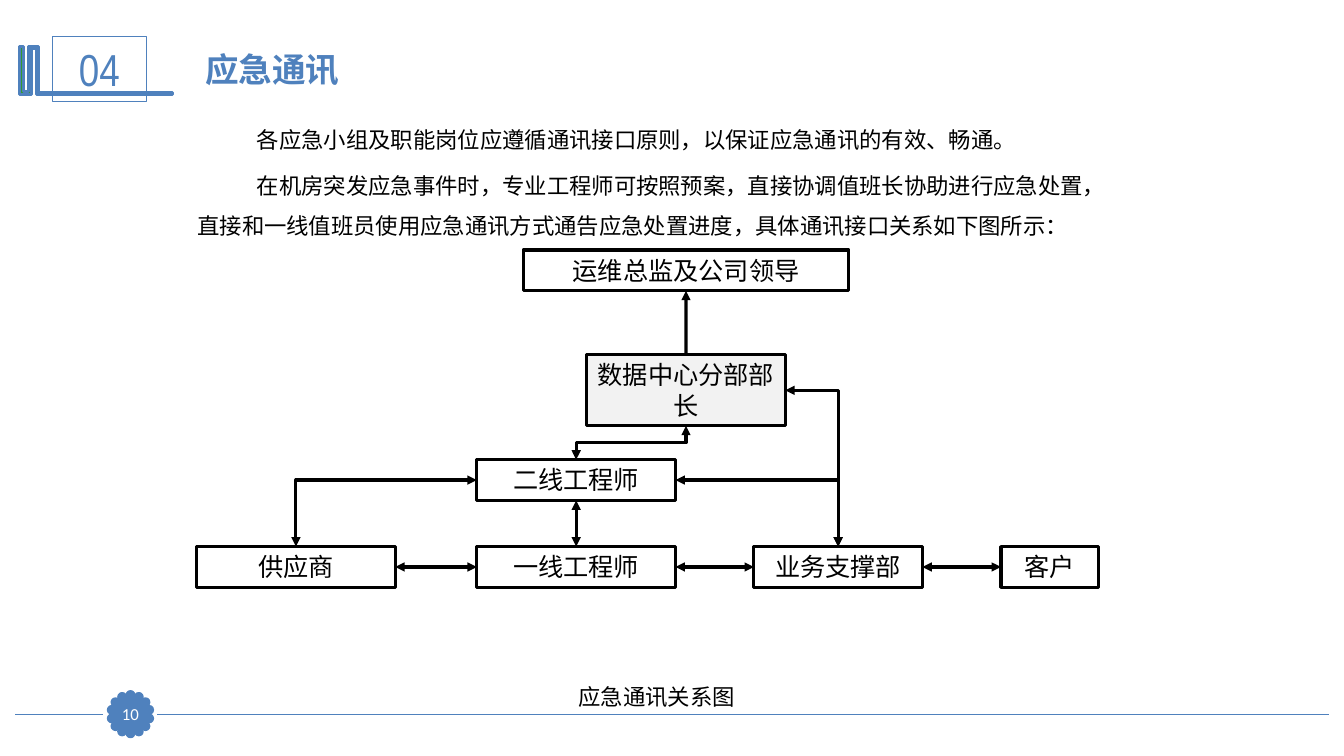
import math
from dataclasses import dataclass
from lxml import etree
from pptx import Presentation
from pptx.dml.color import RGBColor
from pptx.enum.shapes import MSO_CONNECTOR, MSO_SHAPE
from pptx.enum.text import MSO_ANCHOR, PP_ALIGN
from pptx.oxml.ns import qn
from pptx.util import Emu, Inches, Pt

STRAIGHT, ELBOW = MSO_CONNECTOR.STRAIGHT, MSO_CONNECTOR.ELBOW
RECT, OVAL = MSO_SHAPE.RECTANGLE, MSO_SHAPE.OVAL
TOP_ANCHOR, MIDDLE = MSO_ANCHOR.TOP, MSO_ANCHOR.MIDDLE
LEFT_ALIGN, CENTER = PP_ALIGN.LEFT, PP_ALIGN.CENTER
TOP, LEFT, BOTTOM, RIGHT = range(4)
COLORS = {"blue": "4F81BD", "green": "339933", "black": "000000",
          "white": "FFFFFF", "grey": "F2F2F2"}
CJK = "Noto Sans CJK SC"
WIDTH, HEIGHT = Inches(13.33), Inches(7.5)


@dataclass(frozen=True)
class Style:
    size: float
    color: str = "black"
    font: str = "Calibri"
    bold: bool = False
    align: PP_ALIGN = LEFT_ALIGN
    anchor: MSO_ANCHOR = TOP_ANCHOR
    spacing: float = 1.0
    gap: float = 0
    indent: float = 0


@dataclass(frozen=True)
class Box:
    name: str
    x: float
    y: float
    w: float
    h: float = 5.4
    fill: str | None = None


@dataclass(frozen=True)
class Link:
    start: str
    start_side: int
    end: str
    end_side: int
    preset: str = "line"
    both: bool = True


def col(share: float) -> Emu:
    return Emu(round(WIDTH * share / 100))


def row(share: float) -> Emu:
    return Emu(round(HEIGHT * share / 100))


def rgb(name: str) -> RGBColor:
    return RGBColor.from_string(COLORS[name])


def paint(sp, fill: str | None, line: str, weight: float) -> None:
    sp.shadow.inherit = False
    if fill:
        sp.fill.solid()
        sp.fill.fore_color.rgb = rgb(fill)
    else:
        sp.fill.background()
    sp.line.color.rgb = rgb(line)
    sp.line.width = Pt(weight)


def write(sp, texts: list[str], style: Style) -> None:
    tf = sp.text_frame
    tf.word_wrap = True
    tf.vertical_anchor = style.anchor
    tf.text = "\n".join(texts)
    for p in tf.paragraphs:
        p.alignment = style.align
        p.line_spacing = style.spacing
        p.space_before = p.space_after = Pt(style.gap)
        if style.indent:
            p._p.get_or_add_pPr().set("indent", str(col(style.indent)))
        for r in p.runs:
            r.font.size, r.font.bold = Pt(style.size), style.bold
            r.font.name = style.font
            r.font.color.rgb = rgb(style.color)
            ea = etree.SubElement(r._r.get_or_add_rPr(), qn("a:ea"))
            ea.set("typeface", CJK)


def add_rect(s, box: Box, line: str, weight: float, style: Style):
    sp = s.shapes.add_shape(RECT, col(box.x), row(box.y), col(box.w), row(box.h))
    paint(sp, box.fill, line, weight)
    write(sp, [box.name], style)
    return sp


def add_text(s, x: float, y: float, w: float, h: float,
             texts: list[str], style: Style) -> None:
    write(s.shapes.add_textbox(col(x), row(y), col(w), row(h)), texts, style)


def style_line(c, color: str, weight: float, ends: tuple[str, ...] = ()) -> None:
    c.line.color.rgb = rgb(color)
    c.line.width = Pt(weight)
    ln = c.line._get_or_add_ln()
    for end in ends:
        etree.SubElement(ln, qn(f"a:{end}")).set("type", "triangle")
    etree.SubElement(c._element.spPr, qn("a:effectLst"))


def turn_upright(c) -> None:
    mid_x, mid_y = (c.begin_x + c.end_x) // 2, (c.begin_y + c.end_y) // 2
    dx, dy = c.end_x - c.begin_x, c.end_y - c.begin_y
    c.begin_x, c.end_x = mid_x - dy // 2, mid_x + dy // 2
    c.begin_y, c.end_y = mid_y + dx // 2, mid_y - dx // 2
    c._element.spPr.find(qn("a:xfrm")).set("rot", "5400000")


def add_link(s, link: Link, shapes: dict) -> None:
    kind = STRAIGHT if link.preset == "line" else ELBOW
    c = s.shapes.add_connector(kind, 0, 0, 0, 0)
    c.begin_connect(shapes[link.start], link.start_side)
    c.end_connect(shapes[link.end], link.end_side)
    c._element.spPr.find(qn("a:prstGeom")).set("prst", link.preset)
    if link.preset == "bentConnector3":
        turn_upright(c)
    style_line(c, "black", 2.25, ("headEnd", "tailEnd") if link.both else ("tailEnd",))


def add_rosette(s, x: float, y: float, petals: int) -> None:
    size, radius = Inches(0.07), Inches(0.19)
    for i in range(petals):
        a = 2 * math.pi * i / petals
        sp = s.shapes.add_shape(
            OVAL, round(col(x) + radius * math.sin(a) - size / 2),
            round(row(y) - radius * math.cos(a) - size / 2), size, size)
        paint(sp, "blue", "blue", 2)


DIRECTOR, CHIEF = "运维总监及公司领导", "数据中心分部部长"
SECOND, FIRST = "二线工程师", "一线工程师"
SUPPLIER, SUPPORT, CLIENT = "供应商", "业务支撑部", "客户"
BASE_ROW, WIDE = 72.3, 14.78
BOXES = [
    Box(DIRECTOR, 38.93, 33.07, 24.23),
    Box(CHIEF, 43.65, 46.93, WIDE, 9.4, "grey"),
    Box(SECOND, 35.48, 60.8, WIDE),
    Box(SUPPLIER, 14.63, BASE_ROW, WIDE),
    Box(FIRST, 35.48, BASE_ROW, WIDE),
    Box(SUPPORT, 56.1, BASE_ROW, 12.53),
    Box(CLIENT, 74.48, BASE_ROW, 7.28),
]
LINKS = [
    Link(CHIEF, TOP, DIRECTOR, BOTTOM, both=False),
    Link(CHIEF, BOTTOM, SECOND, TOP, "bentConnector3"),
    Link(CHIEF, RIGHT, SUPPORT, TOP, "bentConnector2"),
    Link(SECOND, RIGHT, SUPPORT, TOP, "bentConnector2"),
    Link(SECOND, LEFT, SUPPLIER, TOP, "bentConnector2"),
    Link(SECOND, BOTTOM, FIRST, TOP),
    Link(SUPPLIER, RIGHT, FIRST, LEFT),
    Link(FIRST, RIGHT, SUPPORT, LEFT),
    Link(SUPPORT, RIGHT, CLIENT, LEFT),
]
BOOKS = [(2.78, 6.13), (2.85, 6.13), (2.85, 12.27), (12.83, 12.27), (12.83, 12.53),
         (2.7, 12.53), (2.7, 6.4), (2.33, 6.4), (2.33, 12.53), (1.43, 12.53),
         (1.43, 6.13), (1.73, 6.13), (1.73, 12.13), (2.1, 12.13), (2.1, 6.13)]
BODY = [
    "各应急小组及职能岗位应遵循通讯接口原则，以保证应急通讯的有效、畅通。",
    "在机房突发应急事件时，专业工程师可按照预案，直接协调值班长协助进行应急处置，"
    "直接和一线值班员使用应急通讯方式通告应急处置进度，具体通讯接口关系如下图所示：",
]


def main() -> None:
    prs = Presentation()
    prs.slide_width, prs.slide_height = WIDTH, HEIGHT
    s = prs.slides.add_slide(prs.slide_layouts[6])
    for x1, x2 in ((1.13, 7.65), (11.7, 98.87)):
        c = s.shapes.add_connector(STRAIGHT, col(x1), row(94.5), col(x2), row(94.5))
        style_line(c, "blue", 1.25)
    add_rosette(s, 9.71, 94.47, 14)

    points = [(col(x), row(y)) for x, y in BOOKS]
    fb = s.shapes.build_freeform(*points[0])
    fb.add_line_segments(points[1:])
    paint(fb.convert_to_shape(), "green", "blue", 2)

    add_rect(s, Box("04", 3.9, 4.8, 6.98, 8.6), "blue", 0.75,
             Style(32, "blue", "Arial Narrow", align=CENTER, anchor=MIDDLE))
    page = add_rect(s, Box("10", 8.5, 92.4, 2.4, 4.13, "blue"), "blue", 0.75,
                    Style(12, "white", align=CENTER, anchor=MIDDLE))
    tf = page.text_frame
    tf.margin_left = tf.margin_right = tf.margin_top = tf.margin_bottom = 0

    add_text(s, 13.95, 5.87, 72.7, 6.8, [" 应急通讯"], Style(24, "blue", bold=True))
    add_text(s, 13.95, 14.27, 70.3, 18.27, BODY,
             Style(16, font=CJK, spacing=1.5, gap=2, indent=4.43))
    add_text(s, 42.3, 87.87, 13.6, 6.8, ["应急通讯关系图"], Style(16, spacing=1.5))

    label = Style(18, align=CENTER)
    shapes = {box.name: add_rect(s, box, "black", 2.25, label) for box in BOXES}
    for link in LINKS:
        add_link(s, link, shapes)
    prs.save("out.pptx")


if __name__ == "__main__":
    main()
